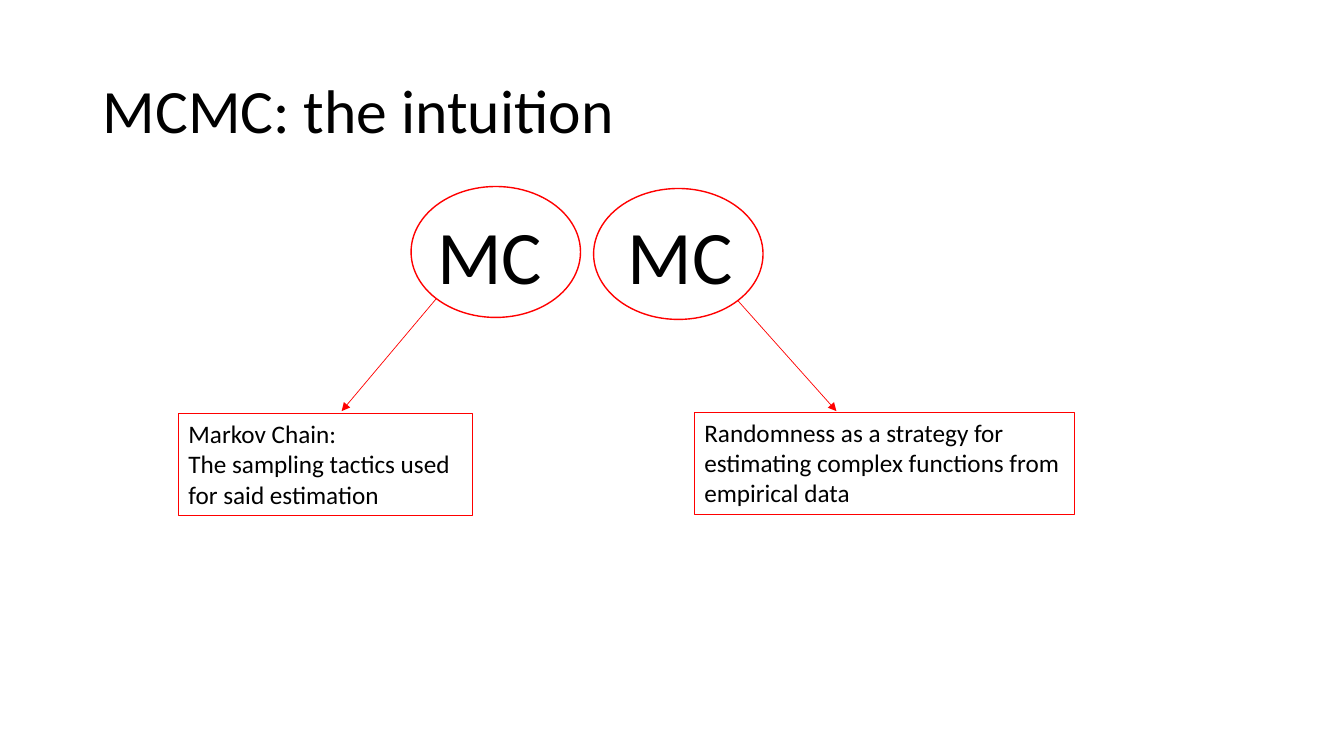
from lxml import etree
from pptx import Presentation
from pptx.dml.color import RGBColor
from pptx.enum.shapes import MSO_CONNECTOR, MSO_SHAPE
from pptx.enum.text import MSO_ANCHOR, MSO_AUTO_SIZE, PP_ALIGN
from pptx.oxml.ns import qn
from pptx.util import Cm, Pt

OVAL, RECT = MSO_SHAPE.OVAL, MSO_SHAPE.RECTANGLE
STRAIGHT = MSO_CONNECTOR.STRAIGHT
TOP, MIDDLE = MSO_ANCHOR.TOP, MSO_ANCHOR.MIDDLE
LEFT = PP_ALIGN.LEFT
NO_FIT = MSO_AUTO_SIZE.NONE
RED, BLACK = "FF0000", "000000"


def rgb(value):
    """Turn a hex string into a colour."""
    return RGBColor.from_string(value)


def write(shape, lines, size, anchor=TOP, spacing=1.0, tab=None):
    """Fill a shape with left-aligned black paragraphs."""
    tf = shape.text_frame
    tf.word_wrap = True
    tf.auto_size = NO_FIT
    tf.vertical_anchor = anchor
    for i, line in enumerate(lines):
        p = tf.add_paragraph() if i else tf.paragraphs[0]
        p.alignment = LEFT
        p.line_spacing = spacing
        if tab is not None:
            tabs = etree.SubElement(p._p.get_or_add_pPr(), qn("a:tabLst"))
            etree.SubElement(tabs, qn("a:tab"), pos=str(tab), algn="l")
        r = p.add_run()
        r.text = line
        r.font.name = "Calibri"
        r.font.size = Pt(size)
        r.font.color.rgb = rgb(BLACK)


def add_title(s, text, left, top, width, height):
    """Place and fill the title placeholder."""
    sp = s.shapes.title
    sp.left, sp.top, sp.width, sp.height = left, top, width, height
    write(sp, [text], 44, MIDDLE, 0.9)


def add_outline(s, kind, left, top, width, height, weight):
    """Draw an unfilled red shape."""
    sp = s.shapes.add_shape(kind, left, top, width, height)
    sp.shadow.inherit = False
    sp.fill.background()
    sp.line.color.rgb = rgb(RED)
    sp.line.width = Pt(weight)
    return sp


def add_arrow(s, x1, y1, x2, y2):
    """Draw a thin red arrow."""
    c = s.shapes.add_connector(STRAIGHT, x1, y1, x2, y2)
    c.line.color.rgb = rgb(RED)
    c.line.width = Pt(0.5)
    etree.SubElement(c.line._get_or_add_ln(), qn("a:tailEnd"), type="triangle")
    etree.SubElement(c._element.spPr, qn("a:effectLst"))


def main():
    """Build the slide."""
    prs = Presentation()
    prs.slide_width, prs.slide_height = Cm(33.87), Cm(19.05)
    s = prs.slides.add_slide(prs.slide_layouts[5])

    add_title(s, "MCMC: the intuition", Cm(2.33), Cm(1.01), Cm(29.21), Cm(3.68))
    letters = s.shapes.add_textbox(Cm(10.77), Cm(4.7), Cm(29.21) - Cm(6.11), Cm(3.68))
    write(letters, ["MC\tMC"], 54, MIDDLE, 0.9, Cm(4.8))

    for left, top in ((10.36, 4.7), (14.96, 4.75)):
        add_outline(s, OVAL, Cm(left), Cm(top), Cm(4.27), Cm(3.3), 1)

    add_arrow(s, Cm(11), Cm(7.52), Cm(8.61), Cm(10.36))
    add_arrow(s, Cm(18.59), Cm(7.57), Cm(21.08), Cm(10.36))

    notes = (
        (4.5, 10.42, 7.42, ["Markov Chain:", "The sampling tactics used for said estimation"]),
        (17.5, 10.39, 9.58,
         ["Randomness as a strategy for estimating complex functions from empirical data"]),
    )
    for left, top, width, lines in notes:
        box = add_outline(s, RECT, Cm(left), Cm(top), Cm(width), Cm(2.57), 0.75)
        write(box, lines, 18)

    prs.save("out.pptx")


if __name__ == "__main__":
    main()
